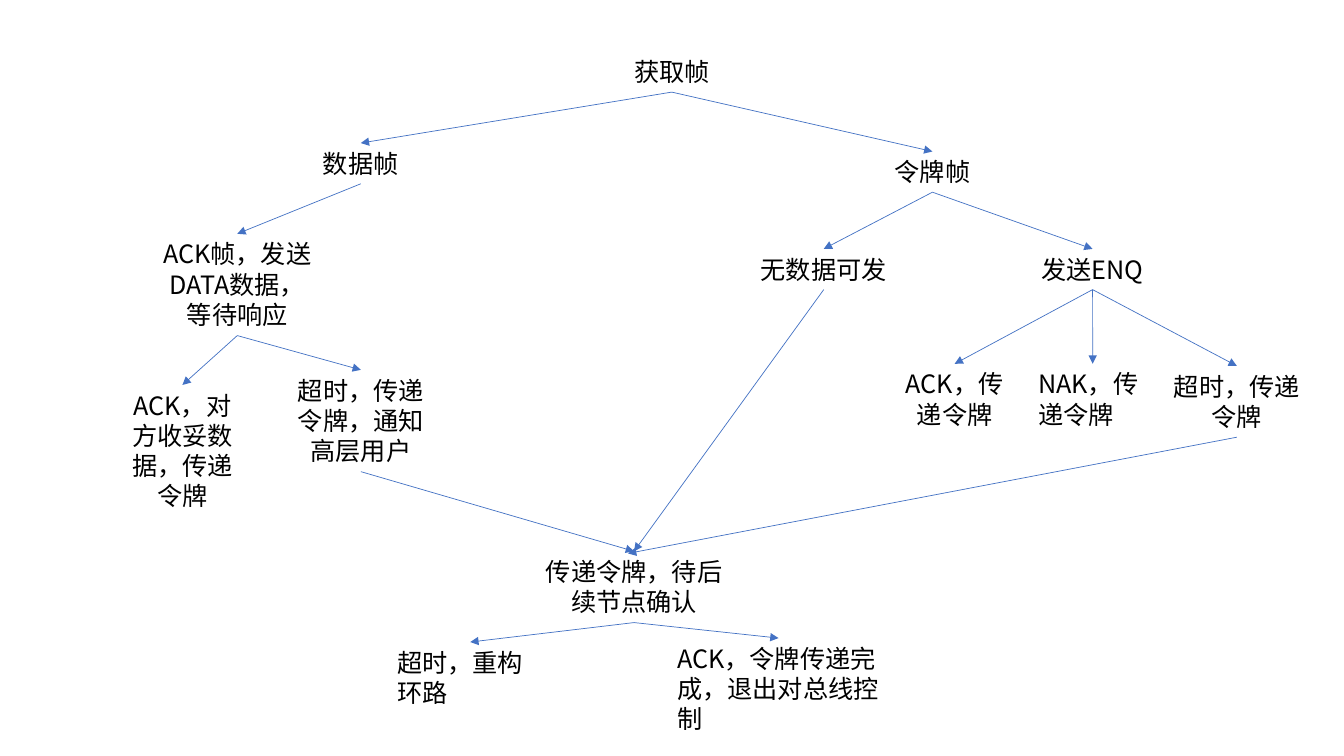
import pptx
import pptx.util
import pptx.dml.color
import pptx.enum.shapes
import pptx.enum.text
import pptx.oxml.ns
from lxml import etree

Pt = pptx.util.Pt
RGB = pptx.dml.color.RGBColor
ALIGN = pptx.enum.text.PP_ALIGN
COLORS = {"text": "000000", "arrow": "4472C4"}
FONT = "Noto Sans CJK SC"

# Steps: text, left, top, width, number of lines, alignment
STEPS = {
    "frame": ("获取帧", 371.5, 36.7, 216.7, 1, ALIGN.CENTER),
    "data": ("数据帧", 206.6, 102.2, 102.2, 1, ALIGN.CENTER),
    "token": ("令牌帧", 578.2, 108.2, 175.7, 1, ALIGN.CENTER),
    "idle": ("无数据可发", 528.3, 177.8, 120.2, 1, ALIGN.CENTER),
    "enquiry": ("发送ENQ", 692.6, 177.8, 175.7, 1, ALIGN.CENTER),
    "send": ("ACK帧，发送DATA数据，等待响应", 109.4, 167, 120.2, 3, ALIGN.CENTER),
    "enquiry ack": ("ACK，传递令牌", 635.8, 259.9, 92.2, 2, ALIGN.CENTER),
    "enquiry nak": ("NAK，传递令牌", 734.4, 259.9, 92.2, 2, ALIGN.LEFT),
    "enquiry timeout": ("超时，传递令牌", 826.6, 261.4, 113.8, 2, ALIGN.CENTER),
    "send ack": ("ACK，对方收妥数据，传递令牌", 84.2, 275, 92.2, 4, ALIGN.CENTER),
    "send timeout": ("超时，传递令牌，通知高层用户", 200.9, 264.2, 113.8, 3, ALIGN.CENTER),
    "pass": ("传递令牌，待后续节点确认", 378, 393.8, 149.8, 2, ALIGN.CENTER),
    "pass timeout": ("超时，重构环路", 276.5, 458.6, 118.8, 2, ALIGN.LEFT),
    "pass ack": ("ACK，令牌传递完成，退出对总线控制", 476.6, 455.8, 159.1, 3, ALIGN.LEFT),
}
NEXT_STEPS = {
    "frame": ("data", "token"),
    "data": ("send",),
    "token": ("idle", "enquiry"),
    "enquiry": ("enquiry ack", "enquiry nak", "enquiry timeout"),
    "send": ("send ack", "send timeout"),
    "idle": ("pass",),
    "send timeout": ("pass",),
    "enquiry timeout": ("pass",),
    "pass": ("pass timeout", "pass ack"),
}
FREE_ENDS = {("enquiry timeout", "pass"): (448.6, 395.3)}
LINE_HEIGHT, PADDING = 21.8, 7.3
FRAME_FORMAT = {"word_wrap": True,
                "auto_size": pptx.enum.text.MSO_AUTO_SIZE.SHAPE_TO_FIT_TEXT}
FONT_FORMAT = {"name": FONT, "size": Pt(18)}


def apply(target, values):
    for name, value in values.items():
        setattr(target, name, value)


def add_step(slide, text, left, top, width, lines, alignment):
    height = lines * LINE_HEIGHT + PADDING
    step = slide.shapes.add_textbox(Pt(left), Pt(top), Pt(width), Pt(height))
    apply(step.text_frame, FRAME_FORMAT)
    paragraph = step.text_frame.paragraphs[0]
    paragraph.alignment = alignment
    run = paragraph.add_run()
    run.text = text
    apply(run.font, FONT_FORMAT)
    run.font.color.rgb = RGB.from_string(COLORS["text"])
    east_asian = etree.SubElement(run.font._element, pptx.oxml.ns.qn("a:ea"))
    east_asian.set("typeface", FONT)
    return step


def add_arrow(slide, source, target, free_end):
    end = [Pt(value) for value in free_end or (0, 0)]
    arrow = slide.shapes.add_connector(
        pptx.enum.shapes.MSO_CONNECTOR.STRAIGHT, 0, 0, *end)
    arrow.begin_connect(source, 2)
    if not free_end:
        arrow.end_connect(target, 0)
    arrow.line.width = Pt(0.5)
    arrow.line.color.rgb = RGB.from_string(COLORS["arrow"])
    properties = arrow._element.spPr
    head = etree.SubElement(properties.find(pptx.oxml.ns.qn("a:ln")),
                            pptx.oxml.ns.qn("a:tailEnd"))
    head.set("type", "triangle")
    etree.SubElement(properties, pptx.oxml.ns.qn("a:effectLst"))


def main():
    deck = pptx.Presentation()
    deck.slide_width, deck.slide_height = Pt(960), Pt(540)
    slide = deck.slides.add_slide(deck.slide_layouts[6])

    # Steps of the token protocol
    steps = {key: add_step(slide, *step) for key, step in STEPS.items()}

    # Arrows from each step down to the next ones
    for source, targets in NEXT_STEPS.items():
        for target in targets:
            add_arrow(slide, steps[source], steps[target],
                      FREE_ENDS.get((source, target)))

    deck.save("out.pptx")


if __name__ == "__main__":
    main()
